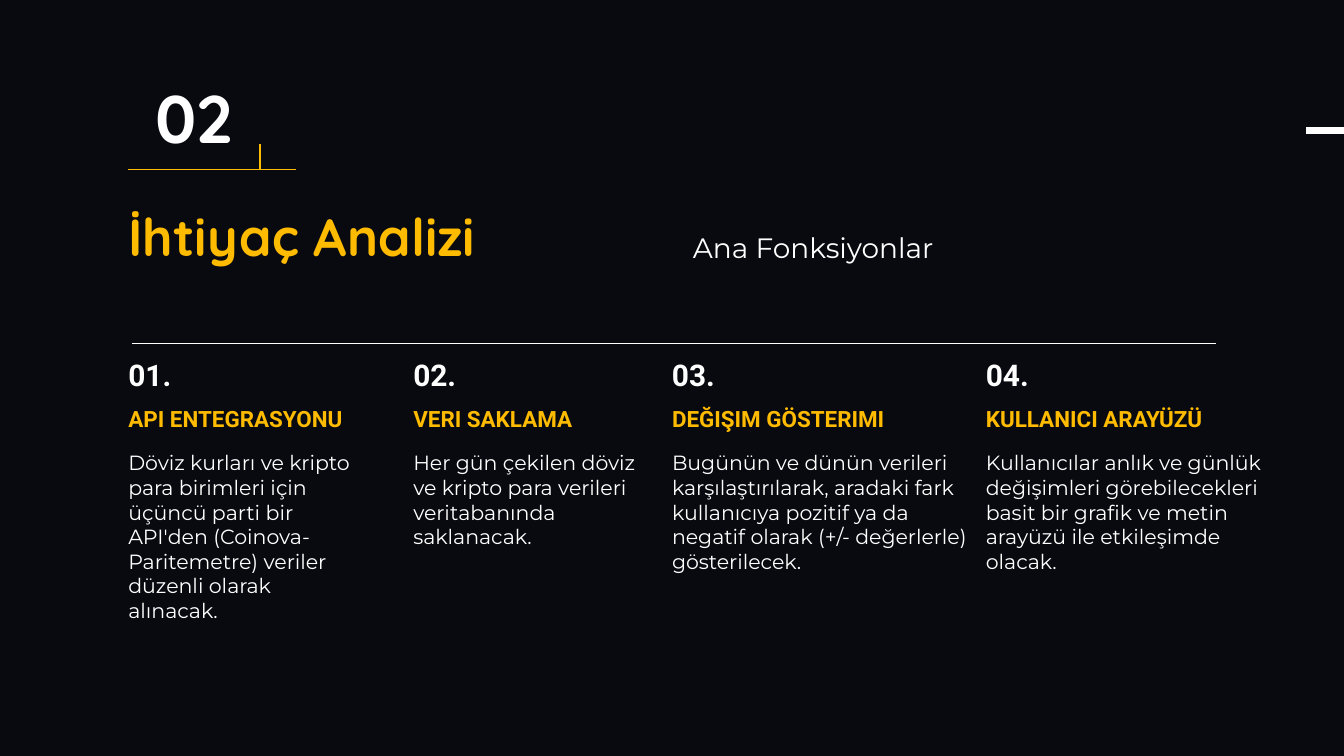
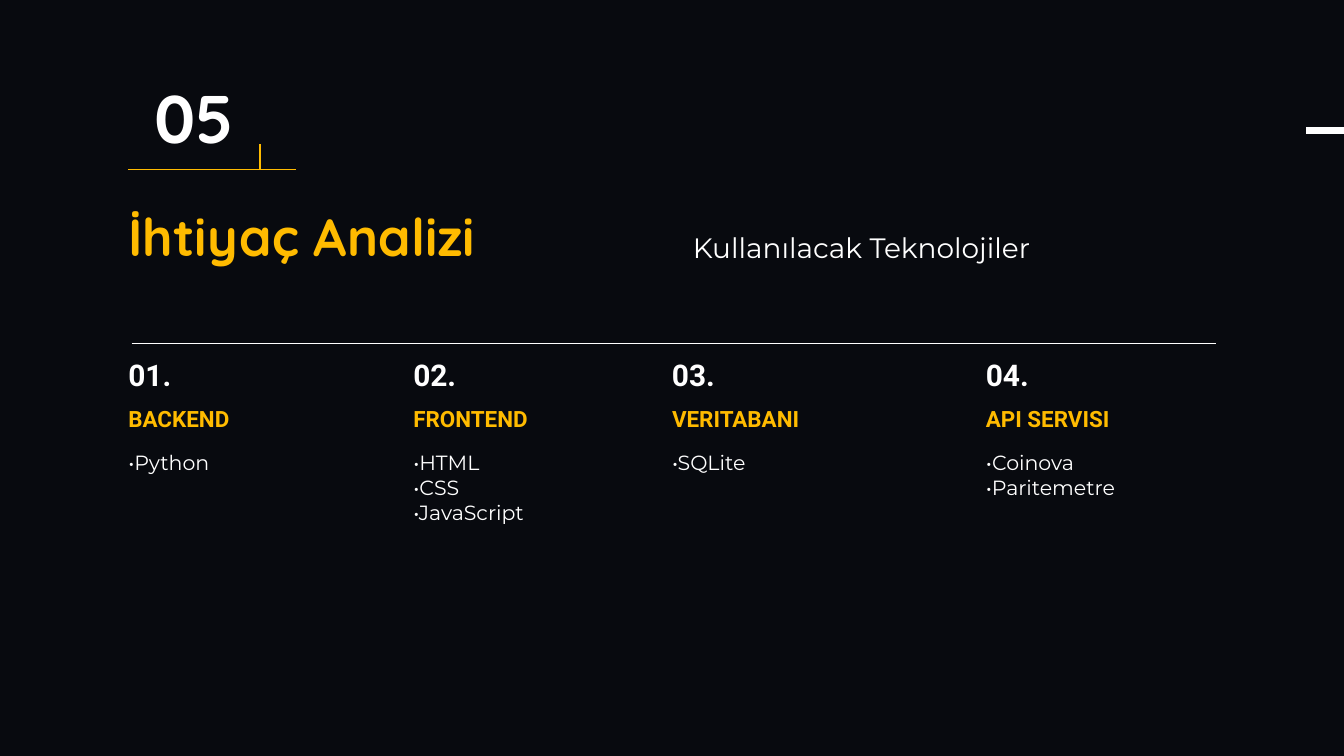
from dataclasses import dataclass
from typing import NamedTuple

from lxml import etree
from pptx import Presentation
from pptx import util as u
from pptx.dml.color import RGBColor
from pptx.enum import shapes, text
from pptx.oxml import ns

# Slide grid: 20 columns by 11.25 rows of square cells
COLUMNS, ROWS = 20, 11.25
CELL = u.Inches(1)

NIGHT = RGBColor(0x08, 0x0A, 0x0F)
AMBER = RGBColor(0xFF, 0xBB, 0x00)
WHITE = RGBColor(0xFF, 0xFF, 0xFF)

MARGIN = 1.91
NUMBER_ROW, HEADING_ROW, BODY_ROW = 5.39, 6.09, 6.7


class Style(NamedTuple):
    family: str
    size: float
    leading: float
    color: RGBColor
    bold: bool = False
    align: text.PP_ALIGN = text.PP_ALIGN.LEFT


SECTION = Style("Quicksand", 72, 72, WHITE, True, text.PP_ALIGN.CENTER)
TITLE = Style("Quicksand", 56, 56, AMBER, True)
SUBTITLE = Style("Montserrat", 30, 36, WHITE)
NUMBER = Style("Roboto", 32, 32, WHITE, True)
HEADING = Style("Roboto", 24, 24, AMBER, True)
BODY = Style("Montserrat", 22, 26.4, WHITE)


class Area(NamedTuple):
    column: float
    row: float
    width: float
    height: float


class Rule(NamedTuple):
    start: tuple[float, float]
    end: tuple[float, float]
    color: RGBColor
    weight: float = 1.5


class TopicColumn(NamedTuple):
    left: float
    heading_width: float
    body_width: float


@dataclass
class Topic:
    heading: str
    body: str
    height: float


@dataclass
class Page:
    section: str
    subtitle: str
    subtitle_width: float
    topics: list[Topic]


TOPIC_COLUMNS = [
    TopicColumn(MARGIN, 4.66, 3.43),
    TopicColumn(6.15, 4.68, 3.43),
    TopicColumn(10, 4.75, 4.49),
    TopicColumn(14.67, 4.75, 4.49),
]

RULES = [
    Rule((3.87, 2.15), (3.87, 2.52), AMBER),
    Rule((MARGIN, 2.52), (4.41, 2.52), AMBER),
    Rule((1.96, 5.11), (18.09, 5.11), WHITE),
    Rule((19.44, 1.94), (COLUMNS, 1.94), WHITE, 7.5),
]

PAGES = [
    Page("02", "Ana Fonksiyonlar", 3.65, [
        Topic("API ENTEGRASYONU",
              "Döviz kurları ve kripto para birimleri için üçüncü parti bir "
              "API'den (Coinova-Paritemetre) veriler düzenli olarak alınacak.", 2.55),
        Topic("VERI SAKLAMA",
              "Her gün çekilen döviz ve kripto para verileri veritabanında "
              "saklanacak.", 1.46),
        Topic("DEĞIŞIM GÖSTERIMI",
              "Bugünün ve dünün verileri karşılaştırılarak, aradaki fark "
              "kullanıcıya pozitif ya da negatif olarak (+/- değerlerle) "
              "gösterilecek.", 1.82),
        Topic("KULLANICI ARAYÜZÜ",
              "Kullanıcılar anlık ve günlük değişimleri görebilecekleri basit "
              "bir grafik ve metin arayüzü ile etkileşimde olacak.", 1.82),
    ]),
    Page("05", "Kullanılacak Teknolojiler", 5.05, [
        Topic("BACKEND", "•Python", 0.36),
        Topic("FRONTEND", "•HTML\n•CSS\n•JavaScript", 1.46),
        Topic("VERITABANI", "•SQLite", 0.37),
        Topic("API SERVISI", "•Coinova\n•Paritemetre", 1.09),
    ]),
]


def cells(count: float) -> int:
    return round(count * CELL)


def write(holder, area: Area, words: str, style: Style) -> None:
    """Place a text holder on the grid and fill it in one style."""
    holder.left, holder.top, holder.width, holder.height = map(cells, area)
    frame = holder.text_frame
    frame.margin_left = frame.margin_right = 0
    frame.margin_top = frame.margin_bottom = 0
    frame.word_wrap = True
    frame.vertical_anchor = text.MSO_ANCHOR.TOP
    frame.auto_size = text.MSO_AUTO_SIZE.SHAPE_TO_FIT_TEXT
    frame.text = words
    for paragraph in frame.paragraphs:
        paragraph.alignment = style.align
        paragraph.line_spacing = u.Pt(style.leading)
        paragraph.font.name = style.family
        paragraph.font.size = u.Pt(style.size)
        paragraph.font.bold = style.bold
        paragraph.font.color.rgb = style.color


def add_words(slide, area: Area, words: str, style: Style) -> None:
    write(slide.shapes.add_textbox(0, 0, 0, 0), area, words, style)


def add_rule(slide, rule: Rule) -> None:
    line = slide.shapes.add_connector(
        shapes.MSO_CONNECTOR.STRAIGHT, *map(cells, rule.start + rule.end))
    line.line.color.rgb = rule.color
    line.line.width = u.Pt(rule.weight)
    etree.SubElement(line._element.spPr, ns.qn("a:effectLst"))


def add_topic(slide, order: int, column: TopicColumn, topic: Topic) -> None:
    left = column.left
    add_words(slide, Area(left, NUMBER_ROW, 0.83, 0.5), f"{order:02}.", NUMBER)
    add_words(slide, Area(left, HEADING_ROW, column.heading_width, 0.37),
              topic.heading, HEADING)
    add_words(slide, Area(left, BODY_ROW, column.body_width, topic.height),
              topic.body, BODY)


def add_page(deck, page: Page) -> None:
    slide = deck.slides.add_slide(deck.slide_layouts.get_by_name("Title Only"))
    # Section number, title and subtitle
    write(slide.shapes.title, Area(MARGIN, 3.2, 5.75, 0.94),
          "İhtiyaç Analizi", TITLE)
    add_words(slide, Area(MARGIN, 1.33, 1.96, 1.21), page.section, SECTION)
    add_words(slide, Area(10.31, 3.43, page.subtitle_width, 0.49),
              page.subtitle, SUBTITLE)
    # Shared rules
    for rule in RULES:
        add_rule(slide, rule)
    # Four topics side by side
    for order, (column, topic) in enumerate(zip(TOPIC_COLUMNS, page.topics), 1):
        add_topic(slide, order, column, topic)


def main() -> None:
    deck = Presentation()
    deck.slide_width, deck.slide_height = cells(COLUMNS), cells(ROWS)
    backdrop = deck.slide_master.background.fill
    backdrop.solid()
    backdrop.fore_color.rgb = NIGHT
    for page in PAGES:
        add_page(deck, page)
    deck.save("out.pptx")


if __name__ == "__main__":
    main()
